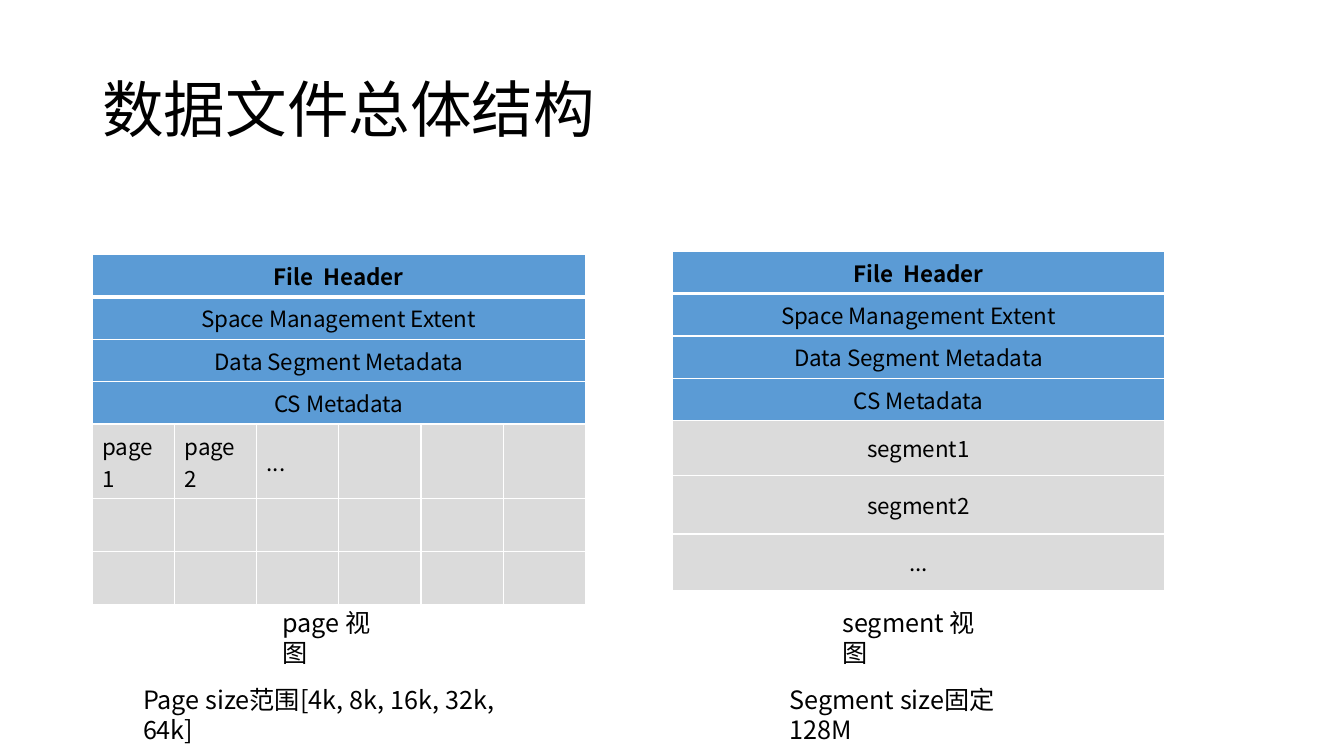
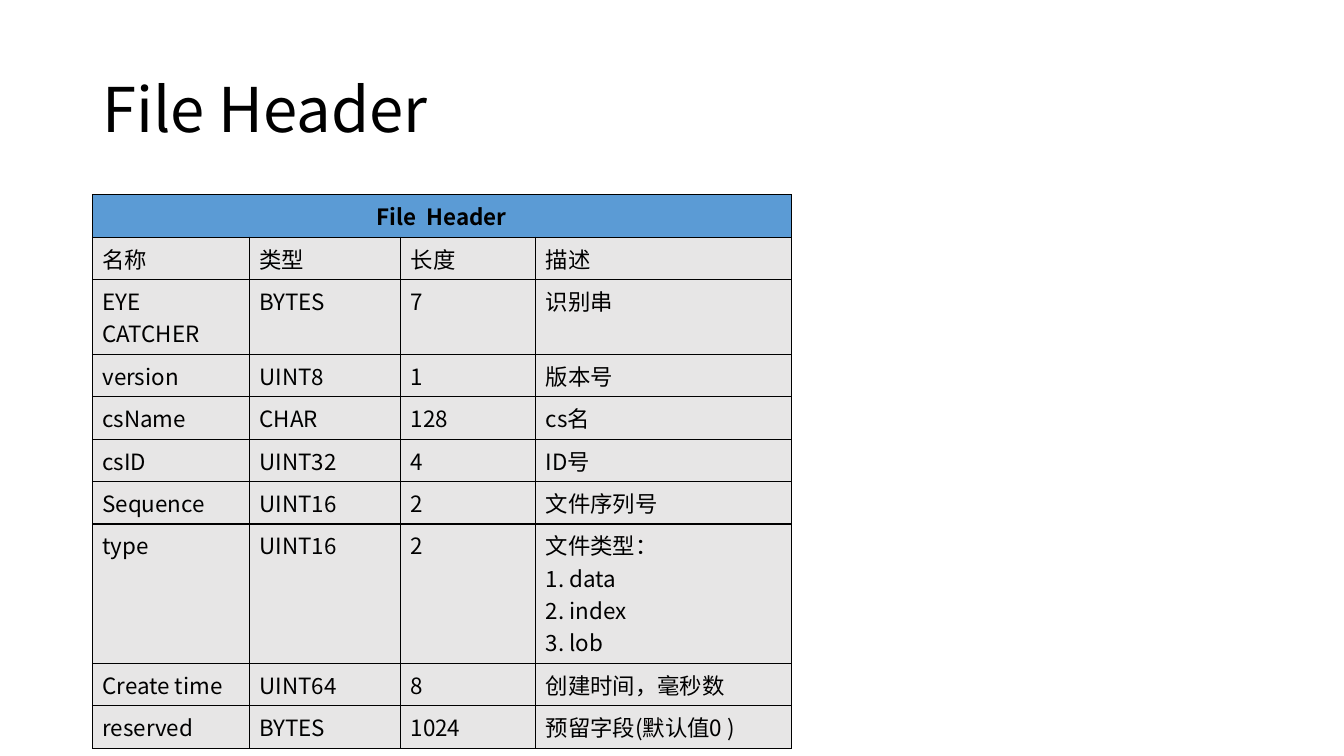
from pptx import Presentation
from pptx.dml.color import RGBColor
from pptx.enum.text import MSO_ANCHOR, PP_ALIGN
from pptx.oxml import parse_xml
from pptx.oxml.ns import nsdecls
from pptx.util import Inches, Pt

UNIT = Inches(1) // 12
COLS, ROWS = 160, 90
FONT = "Noto Sans CJK SC"
BLACK, WHITE = "000000", "FFFFFF"
BLUE, GRAY, PALE = "5B9BD5", "DBDBDB", "E7E6E6"
MARGIN = 11
LINE, TWO_LINES, FOUR_LINES = 5.05, 8.9, 16.6

META_ROWS = ["File  Header", "Space Management Extent", "Data Segment Metadata", "CS Metadata"]
PAGE_ROWS = [["page1", "page2", "..."], [], []]
SEGMENT_ROWS = [["segment1"], ["segment2"], ["..."]]
FIELDS = [
    ("名称", "类型", "长度", "描述"),
    ("EYE CATCHER", "BYTES", "7", "识别串"),
    ("version", "UINT8", "1", "版本号"),
    ("csName", "CHAR", "128", "cs名"),
    ("csID", "UINT32", "4", "ID号"),
    ("Sequence", "UINT16", "2", "文件序列号"),
    ("type", "UINT16", "2", "文件类型：\n1. data\n2. index\n3. lob"),
    ("Create time", "UINT64", "8", "创建时间，毫秒数"),
    ("reserved", "BYTES", "1024", "预留字段(默认值0 )"),
]
FIELD_HEIGHTS = {"EYE CATCHER": TWO_LINES, "type": FOUR_LINES}


def rgb(value):
    return RGBColor.from_string(value)


def grid(*lengths):
    return [round(n * UNIT) for n in lengths]


def write(tf, text, size, bold=False, align=PP_ALIGN.LEFT, spacing=None):
    for i, line in enumerate(text.split("\n")):
        p = tf.add_paragraph() if i else tf.paragraphs[0]
        p.alignment = align
        if spacing:
            p.line_spacing = spacing
        r = p.add_run()
        r.text = line
        r.font.size, r.font.bold, r.font.name = Pt(size), bold, FONT
        r.font.color.rgb = rgb(BLACK)
        r.font._element.append(parse_xml(f'<a:ea {nsdecls("a")} typeface="{FONT}"/>'))


def add_text(s, box, text, size, spacing=None, anchor=MSO_ANCHOR.TOP):
    tf = s.shapes.add_textbox(*grid(*box)).text_frame
    tf.word_wrap = True
    tf.vertical_anchor = anchor
    write(tf, text, size, spacing=spacing)


def add_slide(prs, title):
    s = prs.slides.add_slide(prs.slide_layouts[6])
    s.background.fill.solid()
    s.background.fill.fore_color.rgb = rgb(WHITE)
    add_text(s, (MARGIN, 4.8, COLS - 2 * MARGIN, 17.3), title, 44, 0.9, MSO_ANCHOR.MIDDLE)
    return s


def style_cell(cell, fill, line, bottom=1, anchor=MSO_ANCHOR.MIDDLE):
    tcPr = cell._tc.get_or_add_tcPr()
    for side, width in (("L", 1), ("R", 1), ("T", 1), ("B", bottom)):
        tcPr.append(parse_xml(
            f'<a:ln{side} {nsdecls("a")} w="{Pt(width)}"><a:solidFill>'
            f'<a:srgbClr val="{line}"/></a:solidFill></a:ln{side}>'))
    cell.fill.solid()
    cell.fill.fore_color.rgb = rgb(fill)
    cell.vertical_anchor = anchor


def add_grid(s, left, top, widths, heights):
    frame = s.shapes.add_table(len(heights), len(widths),
                               *grid(left, top, sum(widths), sum(heights)))
    table = frame.table
    table.first_row = table.horz_banding = False
    for column, width in zip(table.columns, grid(*widths)):
        column.width = width
    for row, height in zip(table.rows, grid(*heights)):
        row.height = height
    return table


def merge_row(table, row):
    cell = table.cell(row, 0)
    if len(table.columns) > 1:
        cell.merge(table.cell(row, len(table.columns) - 1))
    return cell


def add_view(s, box, body, columns, heights, align, caption, note):
    left, top, width, height = box
    table = add_grid(s, left, top, [width / columns] * columns,
                     [LINE] * len(META_ROWS) + heights)
    for i, text in enumerate(META_ROWS):
        for j in range(columns):
            style_cell(table.cell(i, j), BLUE, WHITE, 1 if i else 3)
        write(merge_row(table, i).text_frame, text, 16, not i, PP_ALIGN.CENTER)
    for i, texts in enumerate(body, len(META_ROWS)):
        for j in range(columns):
            style_cell(table.cell(i, j), GRAY, WHITE)
        for j, text in enumerate(texts):
            write(table.cell(i, j).text_frame, text, 16, align=align)
    for offset, (text, w) in zip((0, 9.2), (caption, note)):
        add_text(s, (left + (width - w) / 2, top + height + offset, w, 4.8), text, 18)


def add_fields(s, left, top):
    heights = [LINE] + [FIELD_HEIGHTS.get(name, LINE) for name, *_ in FIELDS]
    table = add_grid(s, left, top, [18.7, 18, 16.1, 30.4], heights)
    for i, texts in enumerate([("File  Header", "", "", "")] + FIELDS):
        for j, text in enumerate(texts):
            cell = table.cell(i, j)
            style_cell(cell, PALE if i else BLUE, BLACK, anchor=MSO_ANCHOR.TOP)
            if text:
                write(cell.text_frame, text, 16, not i, PP_ALIGN.LEFT if i else PP_ALIGN.CENTER)
    merge_row(table, 0)


def main():
    prs = Presentation()
    prs.slide_width, prs.slide_height = grid(COLS, ROWS)
    s = add_slide(prs, "数据文件总体结构")
    add_view(s, (MARGIN, 30.3, 58.7, 41.4), PAGE_ROWS, 6, [TWO_LINES, 6.3, 6.3], PP_ALIGN.LEFT,
             ("page 视图", 15.8), ("Page size范围[4k, 8k, 16k, 32k, 64k]", 49))
    add_view(s, (COLS / 2, 29.9, 58.7, 41.8), SEGMENT_ROWS, 1, [6.5, 7, 6.7], PP_ALIGN.CENTER,
             ("segment 视图", 20.5), ("Segment size固定128M", 33.1))
    s = add_slide(prs, "File Header")
    add_fields(s, MARGIN, 23.2)
    prs.save("out.pptx")


if __name__ == "__main__":
    main()
